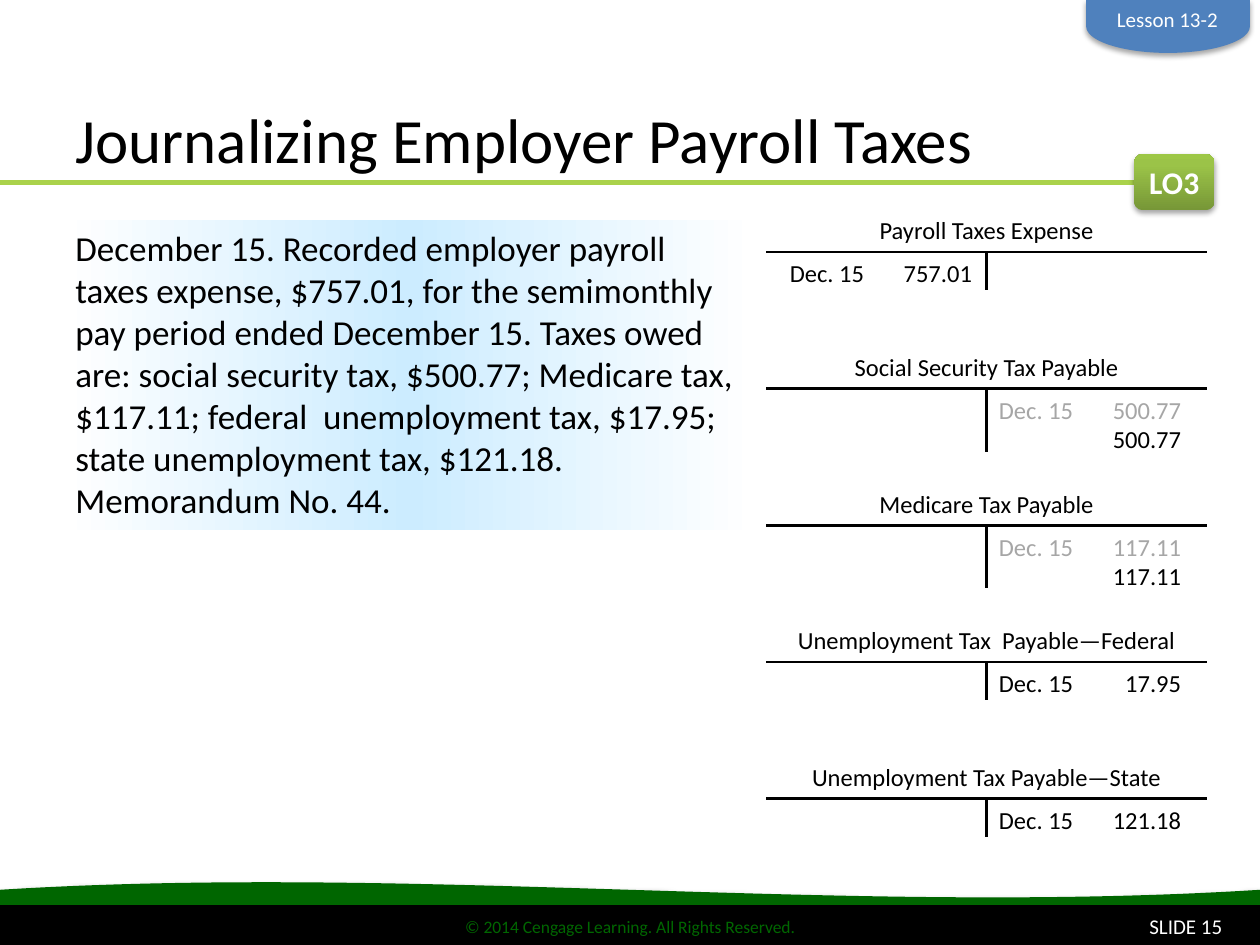
import pptx
import pptx.util
import pptx.dml.color
import pptx.enum.shapes
import pptx.enum.text
import pptx.oxml
import pptx.oxml.ns

Inches, Pt = pptx.util.Inches, pptx.util.Pt
SHAPE = pptx.enum.shapes.MSO_SHAPE
ALIGN = pptx.enum.text.PP_ALIGN
ANCHOR = pptx.enum.text.MSO_ANCHOR
qn = pptx.oxml.ns.qn
NS = pptx.oxml.ns.nsdecls("a")

FONT = "Calibri"
C = {
    "black": "000000", "white": "FFFFFF", "grey": "A6A6A6", "green": "006600",
    "lime": "AAD24B", "tab": "4F81BD", "sky": "CCECFF",
    "lo_dark": "779737", "lo_mid": "9BC348", "lo_light": "9DC746",
}

TITLE = "Journalizing Employer Payroll Taxes"
ENTRY = ("December 15. Recorded employer payroll taxes expense, $757.01, for the "
         "semimonthly pay period ended December 15. Taxes owed are: social security "
         "tax, $500.77; Medicare tax, $117.11; federal  unemployment tax, $17.95; "
         "state unemployment tax, $121.18. Memorandum No. 44.")
COPYRIGHT = "© 2014 Cengage Learning. All Rights Reserved."

# account name, side, lines of (date, amount, colour)
ACCOUNTS = [
    ("Payroll Taxes Expense", "debit", [("Dec. 15", "757.01", "black")]),
    ("Social Security Tax Payable", "credit",
     [("Dec. 15", "500.77", "grey"), ("", "500.77", "black")]),
    ("Medicare Tax Payable", "credit",
     [("Dec. 15", "117.11", "grey"), ("", "117.11", "black")]),
    ("Unemployment Tax  Payable—Federal", "credit", [("Dec. 15", "17.95", "black")]),
    ("Unemployment Tax Payable—State", "credit", [("Dec. 15", "121.18", "black")]),
]

# T-account grid, in inches
T_LEFT, T_WIDTH = 6.08, 3.5
T_TOP, T_STEP = 1.66, 1.085
NAME_H, LINE_H = 0.34, 0.23
ENTRY_W, AMOUNT_TAB = 1.66, 1.2


def rgb(name):
    return pptx.dml.color.RGBColor.from_string(C[name])


def box(at):
    return [Inches(v) for v in at]


def write(p, text, size, color, align=ALIGN.LEFT, bold=False):
    p.alignment = align
    r = p.add_run()
    r.text = text
    r.font.name, r.font.size, r.font.bold = FONT, Pt(size), bold
    r.font.color.rgb = rgb(color)


def add_shape(slide, kind, at, fill=None, stops=None, angle=0, shadow=False):
    """Add a borderless shape with a solid fill, or a gradient of (percent, colour) stops."""
    s = slide.shapes.add_shape(kind, *box(at))
    s.shadow.inherit = False
    s.line.fill.background()
    spPr = s._element.spPr
    if stops:
        s.fill.gradient()
        s.fill.gradient_angle = angle
        gs_list = spPr.find(qn("a:gradFill")).find(qn("a:gsLst"))
        for old in list(gs_list):
            gs_list.remove(old)
        for percent, name in stops:
            gs_list.append(pptx.oxml.parse_xml(
                f'<a:gs {NS} pos="{percent * 1000}"><a:srgbClr val="{C[name]}"/></a:gs>'))
    else:
        s.fill.solid()
        s.fill.fore_color.rgb = rgb(fill)
    if shadow:
        spPr.find(qn("a:effectLst")).append(pptx.oxml.parse_xml(
            f'<a:outerShdw {NS} blurRad="{Pt(3.1)}" dist="{Pt(1.8)}" dir="5400000" '
            f'rotWithShape="0"><a:srgbClr val="{C["black"]}"><a:alpha val="35000"/>'
            '</a:srgbClr></a:outerShdw>'))
    s.text_frame.word_wrap = True
    return s


def add_text(slide, at, *args, **kwargs):
    tf = slide.shapes.add_textbox(*box(at)).text_frame
    tf.word_wrap = True
    write(tf.paragraphs[0], *args, **kwargs)


def add_line(slide, start, end, color, width):
    s = slide.shapes.add_connector(
        pptx.enum.shapes.MSO_CONNECTOR.STRAIGHT, *box(start), *box(end))
    s.line.color.rgb = rgb(color)
    s.line.width = Pt(width)
    s._element.spPr.append(pptx.oxml.parse_xml(f"<a:effectLst {NS}/>"))


def add_entries(slide, left, top, lines):
    """Write dates and amounts, with the amounts on a decimal tab."""
    tf = slide.shapes.add_textbox(
        *box((left, top, ENTRY_W, 0.11 + LINE_H * len(lines)))).text_frame
    tf.word_wrap = True
    tf.margin_right = 0
    for i, (date, amount, color) in enumerate(lines):
        p = tf.add_paragraph() if i else tf.paragraphs[0]
        p._p.get_or_add_pPr().append(pptx.oxml.parse_xml(
            f'<a:tabLst {NS}><a:tab pos="{Inches(AMOUNT_TAB)}" algn="dec"/></a:tabLst>'))
        write(p, f"{date}\t{amount}", 14, color)


def add_account(slide, row, name, side, lines):
    top = T_TOP + row * T_STEP
    rule = top + NAME_H
    middle = T_LEFT + T_WIDTH / 2
    stem = 0.1 + 0.2 * len(lines)
    add_text(slide, (T_LEFT, top, T_WIDTH, NAME_H), name, 14, "black", ALIGN.CENTER)
    add_line(slide, (T_LEFT, rule), (T_LEFT + T_WIDTH, rule), "black", 1.5)
    add_line(slide, (middle, rule), (middle, rule + stem), "black", 1.5)
    left = middle if side == "credit" else middle - ENTRY_W
    add_entries(slide, left, rule, lines)


def add_frame(slide):
    """Add the footer, the title with its rule, and the two tags."""
    add_shape(slide, SHAPE.WAVE, (0, 7, 10, 0.5), "green", shadow=True)
    s = add_shape(slide, SHAPE.RECTANGLE, (0, 7.2, 10, 0.3), "black")
    s.line.color.rgb = rgb("black")
    s.line.width = Pt(2)
    write(s.text_frame.paragraphs[0], COPYRIGHT, 10, "green", ALIGN.CENTER)
    s = add_shape(slide, SHAPE.RECTANGLE, (7.8, 7.2, 2, 0.3), "black")
    write(s.text_frame.paragraphs[0], "SLIDE 15", 12, "white", ALIGN.RIGHT)

    add_line(slide, (0, 1.45), (9.5, 1.45), "lime", 3)
    title = slide.shapes.title
    title.left, title.top, title.width, title.height = box((0.5, 0.2, 8.5, 1.25))
    tf = title.text_frame
    tf.vertical_anchor = ANCHOR.BOTTOM
    tf.auto_size = pptx.enum.text.MSO_AUTO_SIZE.NONE
    write(tf.paragraphs[0], TITLE, 36, "black")

    s = add_shape(slide, SHAPE.ROUNDED_RECTANGLE, (9, 1.22, 0.64, 0.45), angle=90,
                  stops=[(0, "lo_dark"), (80, "lo_mid"), (100, "lo_light")], shadow=True)
    s.text_frame.word_wrap = False
    write(s.text_frame.paragraphs[0], "LO3", 18, "white", ALIGN.CENTER, bold=True)

    s = add_shape(slide, SHAPE.FLOWCHART_DELAY, (9.06, -0.44, 0.42, 1.3), "tab", shadow=True)
    s.rotation = 90
    add_text(slide, (8.76, 0, 1.01, 0.3), "Lesson 13-2", 12, "white", ALIGN.CENTER)


def main():
    prs = pptx.Presentation()
    prs.slide_width, prs.slide_height = Inches(10), Inches(7.5)
    slide = prs.slides.add_slide(prs.slide_layouts[5])
    add_frame(slide)

    s = add_shape(slide, SHAPE.RECTANGLE, (0.5, 1.75, 5.5, 2.46),
                  stops=[(0, "white"), (50, "sky"), (100, "white")])
    s.text_frame.vertical_anchor = ANCHOR.TOP
    write(s.text_frame.paragraphs[0], ENTRY, 20, "black")

    for row, account in enumerate(ACCOUNTS):
        add_account(slide, row, *account)
    prs.save("out.pptx")


if __name__ == "__main__":
    main()
